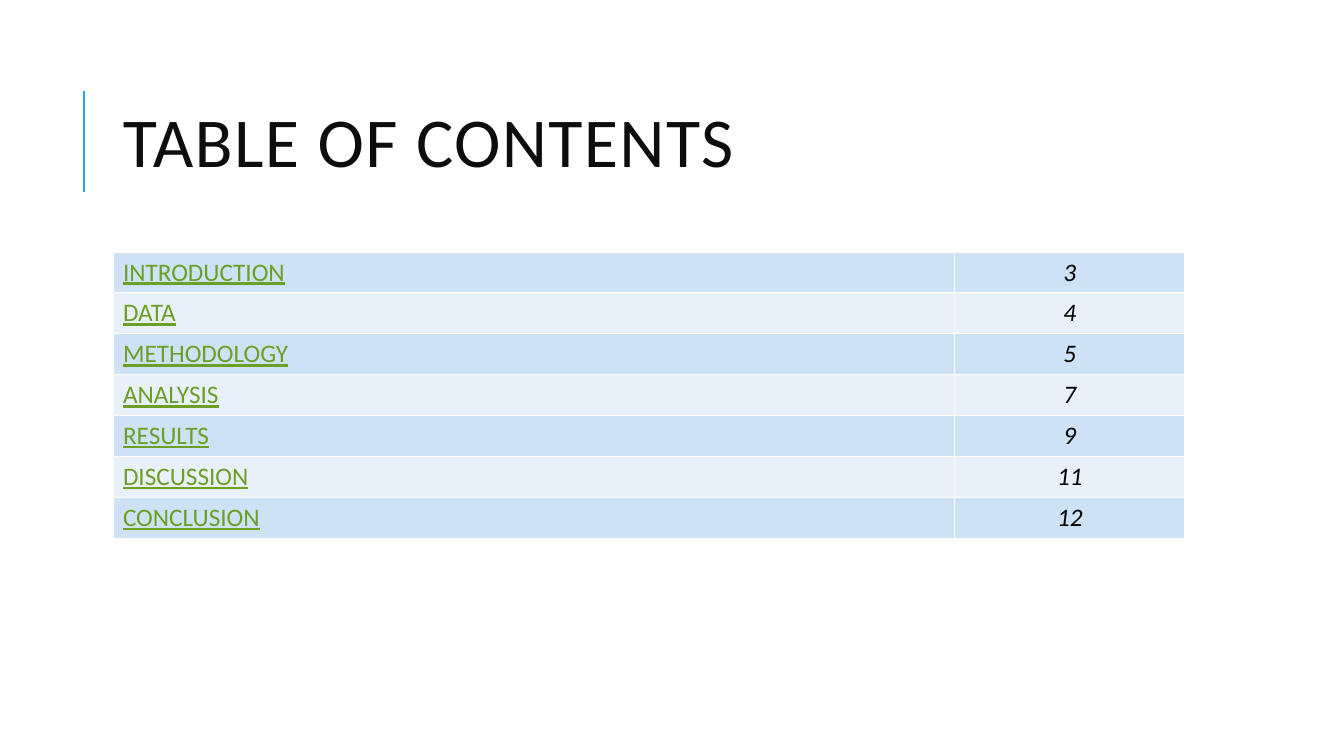
import pptx
import pptx.dml.color
import pptx.enum.shapes
import pptx.enum.text
import pptx.oxml.ns
import pptx.util
from lxml import etree

Inches = pptx.util.Inches
Pt = pptx.util.Pt
Align = pptx.enum.text.PP_ALIGN
Anchor = pptx.enum.text.MSO_ANCHOR
qn = pptx.oxml.ns.qn

HUES = {
    "accent": "1CADE4",
    "title": "0D0D0D",
    "link": "6B9F25",
    "page": "000000",
    "dark": "CDE3F5",
    "light": "E8F1FA",
    "border": "FFFFFF",
}
TOPICS = [
    ("INTRODUCTION", "3"),
    ("DATA", "4"),
    ("METHODOLOGY", "5"),
    ("ANALYSIS", "7"),
    ("RESULTS", "9"),
    ("DISCUSSION", "11"),
    ("CONCLUSION", "12"),
]


def color(name):
    return pptx.dml.color.RGBColor.from_string(HUES[name])


def write(frame, text, size=18, hue="page", align=Align.LEFT, italic=False,
          under=False, leading=None, spacing=None):
    line = frame.paragraphs[0]
    line.alignment = align
    if leading:
        line.line_spacing = leading
    run = line.add_run()
    run.text = text
    font = run.font
    font.name = "Calibri"
    font.size = Pt(size)
    font.color.rgb = color(hue)
    font.italic = italic
    font.underline = under
    if spacing:
        run._r.get_or_add_rPr().set("spc", str(spacing * 100))


class Painter:
    """Draws styled elements on the current slide."""

    def __init__(self, slide):
        self.slide = slide
        self.left = Inches(1.12)
        self.width = Inches(10.63)

    def rule(self, x, top, bottom):
        line = self.slide.shapes.add_connector(
            pptx.enum.shapes.MSO_CONNECTOR.STRAIGHT,
            Inches(x), Inches(bottom), Inches(x), Inches(top))
        line.line.color.rgb = color("accent")
        line.line.width = Pt(1.5)
        etree.SubElement(line._element.spPr, qn("a:effectLst"))

    def title(self, text, top, height):
        box = self.slide.shapes.add_textbox(
            self.left, Inches(top), self.width, Inches(height))
        frame = box.text_frame
        frame.word_wrap = True
        frame.vertical_anchor = Anchor.MIDDLE
        write(frame, text, size=50, hue="title", leading=0.8, spacing=1)

    def border(self, cell):
        props = cell._tc.get_or_add_tcPr()
        for side in ("lnL", "lnR", "lnT", "lnB"):
            edge = etree.SubElement(props, qn("a:" + side), w=str(Pt(1)))
            fill = etree.SubElement(edge, qn("a:solidFill"))
            etree.SubElement(fill, qn("a:srgbClr"), val=HUES["border"])

    def table(self, rows, top, height, widths):
        table = self.slide.shapes.add_table(
            len(rows), len(widths), self.left, Inches(top),
            self.width, Inches(height)).table
        table.first_row = False
        table.horz_banding = False
        for column, width in zip(table.columns, widths):
            column.width = Inches(width)
        for index, (topic, page) in enumerate(rows):
            name, number = table.rows[index].cells
            for cell in (name, number):
                self.border(cell)
                cell.fill.solid()
                cell.fill.fore_color.rgb = color("light" if index % 2 else "dark")
            write(name.text_frame, topic, hue="link", under=True)
            write(number.text_frame, page, align=Align.CENTER, italic=True)


def main():
    deck = pptx.Presentation()
    deck.slide_width = Inches(13.33)
    deck.slide_height = Inches(7.5)
    painter = Painter(deck.slides.add_slide(deck.slide_layouts[6]))
    painter.rule(0.83, 0.9, 1.9)
    painter.title("TABLE OF CONTENTS", 0.64, 1.64)
    painter.table(TOPICS, 2.5, 2.84, (8.35, 2.28))
    deck.save("out.pptx")


if __name__ == "__main__":
    main()
